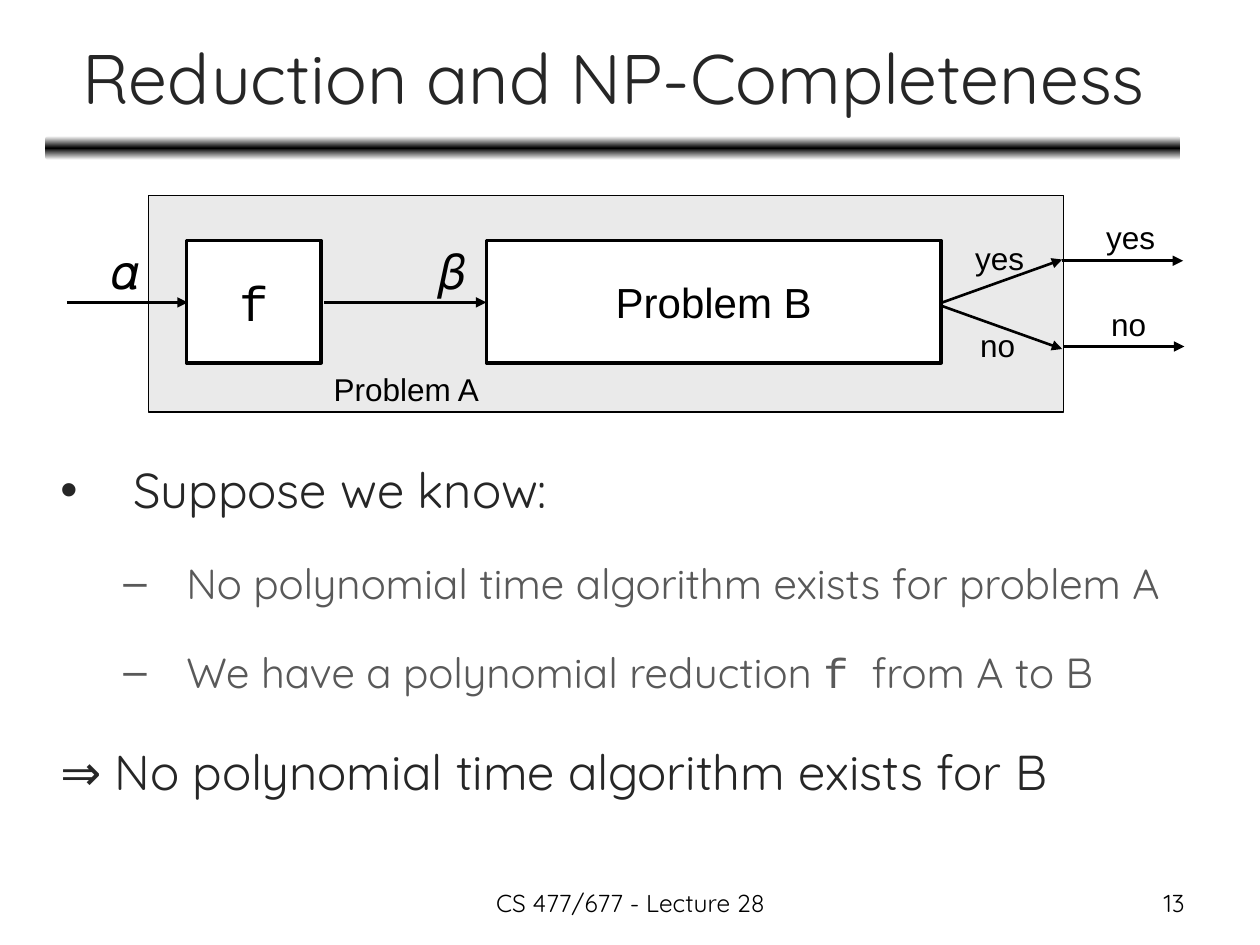
"""Builds the lecture slide on reduction and NP-completeness."""
from copy import deepcopy

from lxml.etree import SubElement
from pptx import Presentation
from pptx.dml.color import RGBColor
from pptx.enum.shapes import MSO_CONNECTOR, MSO_SHAPE
from pptx.enum.text import MSO_ANCHOR, PP_ALIGN
from pptx.oxml.ns import qn
from pptx.util import Inches, Pt

COLORS = {"black": "000000", "white": "FFFFFF", "panel": "EAEAEA",
          "heading": "262626", "detail": "595959"}
SANS, MONO, BODY = "Arial", "Courier New", "Quicksand"

TITLE = "Reduction and NP-Completeness"
BULLETS = [
    ("•", 0.58, 0.58, 28, "heading", [("Suppose we know:", BODY)]),
    ("–", 1, 0.5, 24, "detail",
     [("No polynomial time algorithm exists for problem A", BODY)]),
    ("–", 1, 0.5, 24, "detail",
     [("We have a polynomial reduction ", BODY), ("f", MONO),
      ("  from A to B", BODY)]),
    (None, 0, 0, 28, "heading",
     [("⇒ No polynomial time algorithm exists for B", BODY)]),
]
BOXES = [
    ((1.18, 1.55, 7.26, 1.72), "panel", 0.75, None),
    ((1.48, 1.91, 1.07, 0.97), "white", 2, ("f", 28, MONO)),
    ((3.86, 1.91, 3.61, 0.97), "white", 2, ("Problem B", 24, SANS)),
]
ARROWS = [
    (0.53, 2.4, 1.49, 2.4), (2.57, 2.4, 3.86, 2.4),
    (7.48, 2.4, 8.43, 2.06), (7.48, 2.43, 8.43, 2.77),
    (8.43, 2.07, 9.39, 2.07), (8.44, 2.75, 9.4, 2.75),
]
LABELS = [
    ("𝛼", 28, (0.79, 1.86, 0.45, 0.57)),
    ("𝛽", 28, (3.38, 1.86, 0.44, 0.57)),
    ("yes", 18, (7.64, 1.85, 0.59, 0.4)),
    ("no", 18, (7.68, 2.54, 0.48, 0.4)),
    ("yes", 18, (8.68, 1.68, 0.59, 0.4)),
    ("no", 18, (8.72, 2.37, 0.48, 0.4)),
    ("Problem A", 18, (2.55, 2.89, 1.37, 0.4)),
]
FOOTERS = [
    ("CS 477/677 - Lecture 28", PP_ALIGN.CENTER, (3.42, 7, 3.17, 0.35)),
    ("13", PP_ALIGN.RIGHT, (7.17, 7, 2.33, 0.35)),
]


def rgb(name):
    return RGBColor.from_string(COLORS[name])


def add_run(p, text, size, font, color="black"):
    r = p.add_run()
    r.text = text
    r.font.size = Pt(size)
    r.font.name = font
    r.font.color.rgb = rgb(color)


def add_text(slide, box, wrap=True):
    tf = slide.shapes.add_textbox(*map(Inches, box)).text_frame
    tf.word_wrap = wrap
    return tf


def add_rule(slide):
    sp = slide.shapes.add_shape(MSO_SHAPE.ROUNDED_RECTANGLE,
                                *map(Inches, (0.36, 1.08, 9.01, 0.19)))
    sp.shadow.inherit = False
    sp.line.fill.background()
    sp.fill.gradient()
    sp.fill.gradient_angle = 90
    stops = sp._element.spPr.find(qn("a:gradFill")).find(qn("a:gsLst"))
    stops.append(deepcopy(stops[-1]))
    shades = [(0, "white"), (0.5, "black"), (1, "white")]
    for stop, (position, color) in zip(sp.fill.gradient_stops, shades):
        stop.position = position
        stop.color.rgb = rgb(color)


def add_box(slide, box, fill, width, label):
    sp = slide.shapes.add_shape(MSO_SHAPE.RECTANGLE, *map(Inches, box))
    sp.shadow.inherit = False
    sp.fill.solid()
    sp.fill.fore_color.rgb = rgb(fill)
    sp.line.color.rgb = rgb("black")
    sp.line.width = Pt(width)
    if label:
        tf = sp.text_frame
        tf.word_wrap = False
        tf.vertical_anchor = MSO_ANCHOR.MIDDLE
        tf.paragraphs[0].alignment = PP_ALIGN.CENTER
        add_run(tf.paragraphs[0], *label)


def add_arrow(slide, ends):
    line = slide.shapes.add_connector(MSO_CONNECTOR.STRAIGHT,
                                      *map(Inches, ends))
    line.line.color.rgb = rgb("black")
    line.line.width = Pt(1.5)
    SubElement(line.line._get_or_add_ln(), qn("a:tailEnd"), type="triangle")
    SubElement(line._element.spPr, qn("a:effectLst"))


def add_bullets(slide):
    tf = add_text(slide, (0.38, 3.32, 9.21, 3.91))
    for i, (mark, left, hang, size, color, runs) in enumerate(BULLETS):
        p = tf.add_paragraph() if i else tf.paragraphs[0]
        pPr = p._p.get_or_add_pPr()
        pPr.set("marL", str(Inches(left)))
        pPr.set("indent", str(-Inches(hang)))
        if mark:
            SubElement(pPr, qn("a:buFont"), typeface=SANS)
            SubElement(pPr, qn("a:buChar"), char=mark)
        p.line_spacing = 1.6
        p.space_before = Pt(0.2 * size if i else 0)
        for text, font in runs:
            add_run(p, text, size, font, color)


def main():
    prs = Presentation()
    prs.slide_width, prs.slide_height = Inches(10), Inches(7.5)
    slide = prs.slides.add_slide(prs.slide_layouts[6])
    add_rule(slide)

    tf = add_text(slide, (0.37, 0.11, 9, 0.99))
    tf.vertical_anchor = MSO_ANCHOR.MIDDLE
    tf.paragraphs[0].alignment = PP_ALIGN.CENTER
    add_run(tf.paragraphs[0], TITLE, 40, BODY, "heading")

    for box in BOXES:
        add_box(slide, *box)
    for ends in ARROWS:
        add_arrow(slide, ends)
    for text, size, box in LABELS:
        add_run(add_text(slide, box, False).paragraphs[0], text, size, SANS)
    add_bullets(slide)
    for text, align, box in FOOTERS:
        p = add_text(slide, box).paragraphs[0]
        p.alignment = align
        add_run(p, text, 14, BODY)
    prs.save("out.pptx")


if __name__ == "__main__":
    main()
